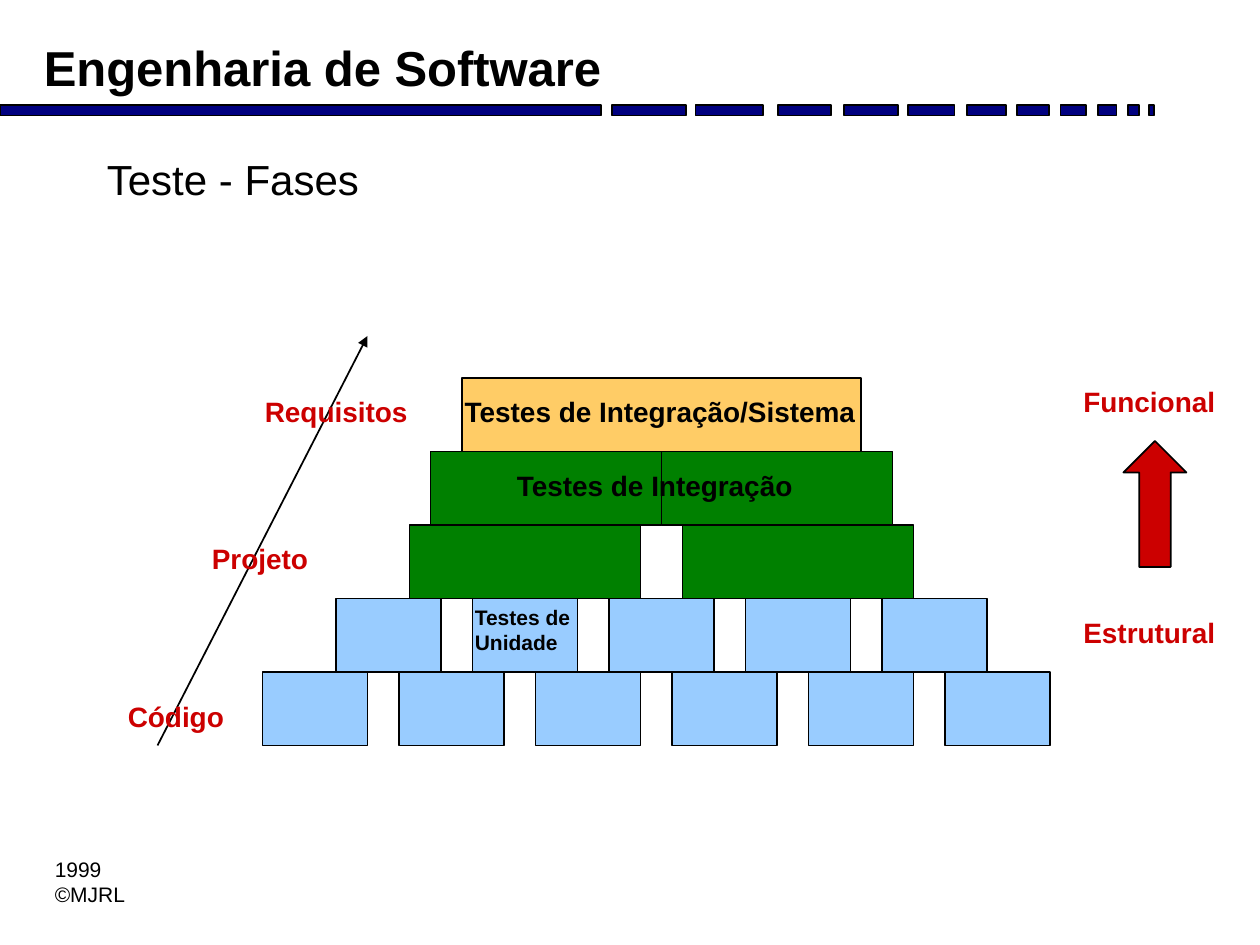
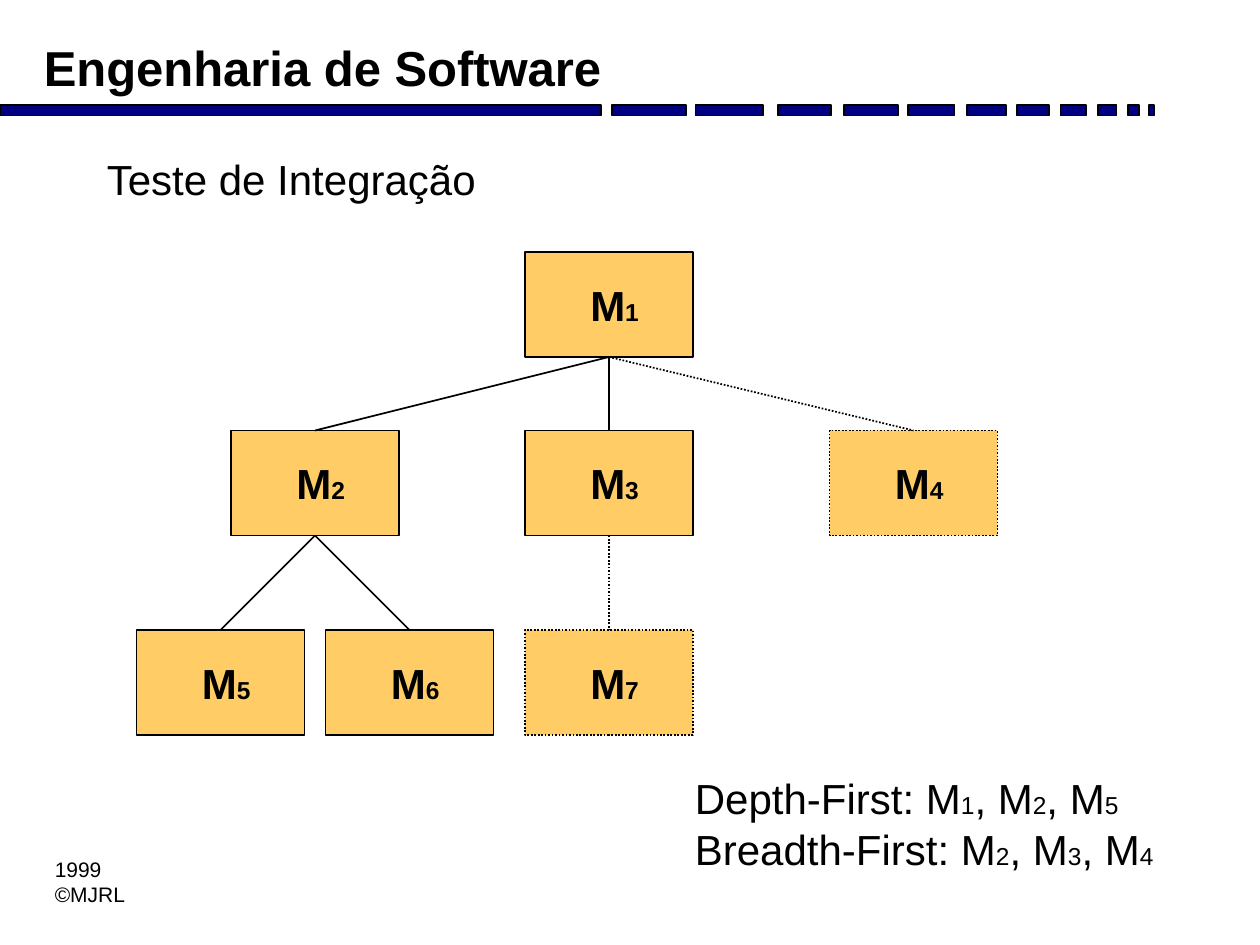
import pptx
import pptx.dml.color
import pptx.enum.dml
import pptx.enum.shapes
import pptx.enum.text
import pptx.oxml
import pptx.oxml.ns
import pptx.util

Pt = pptx.util.Pt
Shape = pptx.enum.shapes.MSO_SHAPE
DOTTED = pptx.enum.dml.MSO_LINE.ROUND_DOT

COLOURS = {
    "ink": "000000",
    "band": "000080",
    "unit": "99CCFF",
    "integration": "008000",
    "system": "FFCC66",
    "accent": "CC0000",
}
FONT = "Arial"
LINE_WIDTH = 1
SUBSCRIPT_SIZE = 14
BAND_DASHES = [
    (0, 343.5), (349.5, 42.5), (397.5, 38.5), (444.5, 30.5), (482.5, 30.5), (519, 26.5),
    (552.5, 22.5), (581, 18.5), (606, 14.5), (627.5, 10.5), (644.5, 6.5), (656.5, 3),
]


def rgb(name):
    """Return the named palette colour."""
    return pptx.dml.color.RGBColor.from_string(COLOURS[name])


def style_line(line, dotted=False):
    """Give a line the shared ink colour and width."""
    line.color.rgb = rgb("ink")
    line.width = Pt(LINE_WIDTH)
    if dotted:
        line.dash_style = DOTTED


def add_block(slide, box, fill, kind=Shape.RECTANGLE, dotted=False):
    """Add an outlined, filled shape in the box."""
    block = slide.shapes.add_shape(kind, *map(Pt, box))
    block.shadow.inherit = False
    block.fill.solid()
    block.fill.fore_color.rgb = rgb(fill)
    style_line(block.line, dotted)
    return block


def add_line(slide, start, end, dotted=False):
    """Add a straight connector without a shadow."""
    line = slide.shapes.add_connector(
        pptx.enum.shapes.MSO_CONNECTOR.STRAIGHT, *map(Pt, (*start, *end)))
    line._element.spPr.append(pptx.oxml.parse_xml(
        f"<a:effectLst {pptx.oxml.ns.nsdecls('a')}/>"))
    style_line(line.line, dotted)
    return line


def add_text(slide, box, paragraphs, size, colour="ink", bold=False, wrap=False, grow=True):
    """Write paragraphs of runs, with each digit-only run set small as an index."""
    frame = slide.shapes.add_textbox(*map(Pt, box)).text_frame
    frame.word_wrap = wrap
    if grow:
        frame.auto_size = pptx.enum.text.MSO_AUTO_SIZE.SHAPE_TO_FIT_TEXT
    for number, runs in enumerate(paragraphs):
        paragraph = frame.add_paragraph() if number else frame.paragraphs[0]
        for words in runs:
            run = paragraph.add_run()
            run.text = words
            run.font.name = FONT
            run.font.size = Pt(SUBSCRIPT_SIZE if len(words) == 1 and words.isdigit() else size)
            run.font.bold = bold
            run.font.color.rgb = rgb(colour)


def add_band(slide, left, top, height):
    """Draw the header band that breaks into shrinking dashes."""
    for offset, width in reversed(BAND_DASHES):
        add_block(slide, (left + offset, top, width, height), "band")


def start_slide(deck, topic):
    """Add a blank slide with the course header, footer and topic."""
    slide = deck.slides.add_slide(deck.slide_layouts[6])
    add_band(slide, 0, 60, 6)
    add_text(slide, (18, 18, 348, 40), [["Engenharia de Software"]], 28, bold=True, wrap=True)
    add_text(slide, (24.25, 486, 55, 36), [["1999"], ["©MJRL"]], 12)
    add_text(slide, (54, 84, 612, 54), [[topic]], 24, wrap=True, grow=False)
    return slide


def add_pyramid(slide, left, top):
    """Stack the test levels from units at the base to the system on top."""
    height = 42
    levels = [
        (114, 228, 0, 1, "system"),
        (96, 132, 0, 2, "integration"),
        (84, 132, 24, 2, "integration"),
        (42, 60, 18, 5, "unit"),
        (0, 60, 18, 6, "unit"),
    ]
    for row, (inset, width, gap, count, fill) in reversed(list(enumerate(levels))):
        for column in range(count):
            x = left + inset + column * (width + gap)
            add_block(slide, (x, top + row * height, width, height), fill)
    add_text(slide, (left + 138.25, top + 48, 173, 26.5), [["Testes de Integração"]], 16, bold=True)
    add_text(slide, (left + 114.25, top + 126, 73, 36), [["Testes de"], ["Unidade"]], 12, bold=True)
    add_text(slide, (left + 108.5, top + 6, 238, 26.5),
             [["Testes de Integração/Sistema"]], 16, bold=True)


def add_abstraction_axis(slide, left, top):
    """Draw the rising arrow from code to requirements with its labels."""
    axis = add_line(slide, (left + 24, top + 234), (left + 144, top))
    axis.line._get_or_add_ln().append(pptx.oxml.parse_xml(
        f"<a:tailEnd {pptx.oxml.ns.nsdecls('a')} type='triangle'/>"))
    stages = [("Código", 0, 204, 72), ("Projeto", 48, 114, 72), ("Requisitos", 78.25, 30, 98)]
    for stage, x, y, width in stages:
        add_text(slide, (left + x, top + y, width, 26.5), [[stage]], 16, "accent", True)


def add_technique_scale(slide, left, top):
    """Show the move from structural up to functional testing."""
    for technique, y in (("Estrutural", 132), ("Funcional", 0)):
        add_text(slide, (left, top + y, 92, 26.5), [[technique]], 16, "accent", True)
    add_block(slide, (left + 30, top + 36, 36, 72), "accent", Shape.UP_ARROW)


def add_module_tree(slide, left, top):
    """Draw the module hierarchy, dotting the modules not yet integrated."""
    width, height = 96, 60
    places = {
        "1": (222, 0), "3": (222, 102), "2": (54, 102), "6": (108, 216),
        "7": (222, 216), "5": (0, 216), "4": (396, 102),
    }
    pending = {"4", "7"}
    modules = {}
    for index, (dx, dy) in places.items():
        x, y = left + dx, top + dy
        modules[index] = add_block(
            slide, (x, y, width, height), "system", dotted=index in pending)
        add_text(slide, (x + 30.25, y + 12, 42, 36), [["M", index]], 24, bold=True)
    for parent, child in ("13", "37", "25", "26", "12", "14"):
        call = add_line(slide, (0, 0), (0, 0), child in pending)
        call.begin_connect(modules[parent], 2)
        call.end_connect(modules[child], 0)


def add_traversals(slide, left, top):
    """List the module orders of the two integration strategies."""
    orders = [("Depth-First", "125"), ("Breadth-First", "234")]
    paragraphs = [
        [f"{strategy}: M", first, ", M", second, ", M", third]
        for strategy, (first, second, third) in orders
    ]
    add_text(slide, (left, top, 276.5, 65), paragraphs, 24)


def main():
    """Build and save the two slides."""
    deck = pptx.Presentation()
    deck.slide_width, deck.slide_height = Pt(720), Pt(540)

    phases = start_slide(deck, "Teste - Fases")
    add_pyramid(phases, 150, 216)
    add_abstraction_axis(phases, 66, 192)
    add_technique_scale(phases, 612, 216)

    integration = start_slide(deck, "Teste de Integração")
    add_module_tree(integration, 78, 144)
    add_traversals(integration, 390, 438)

    deck.save("out.pptx")


if __name__ == "__main__":
    main()
